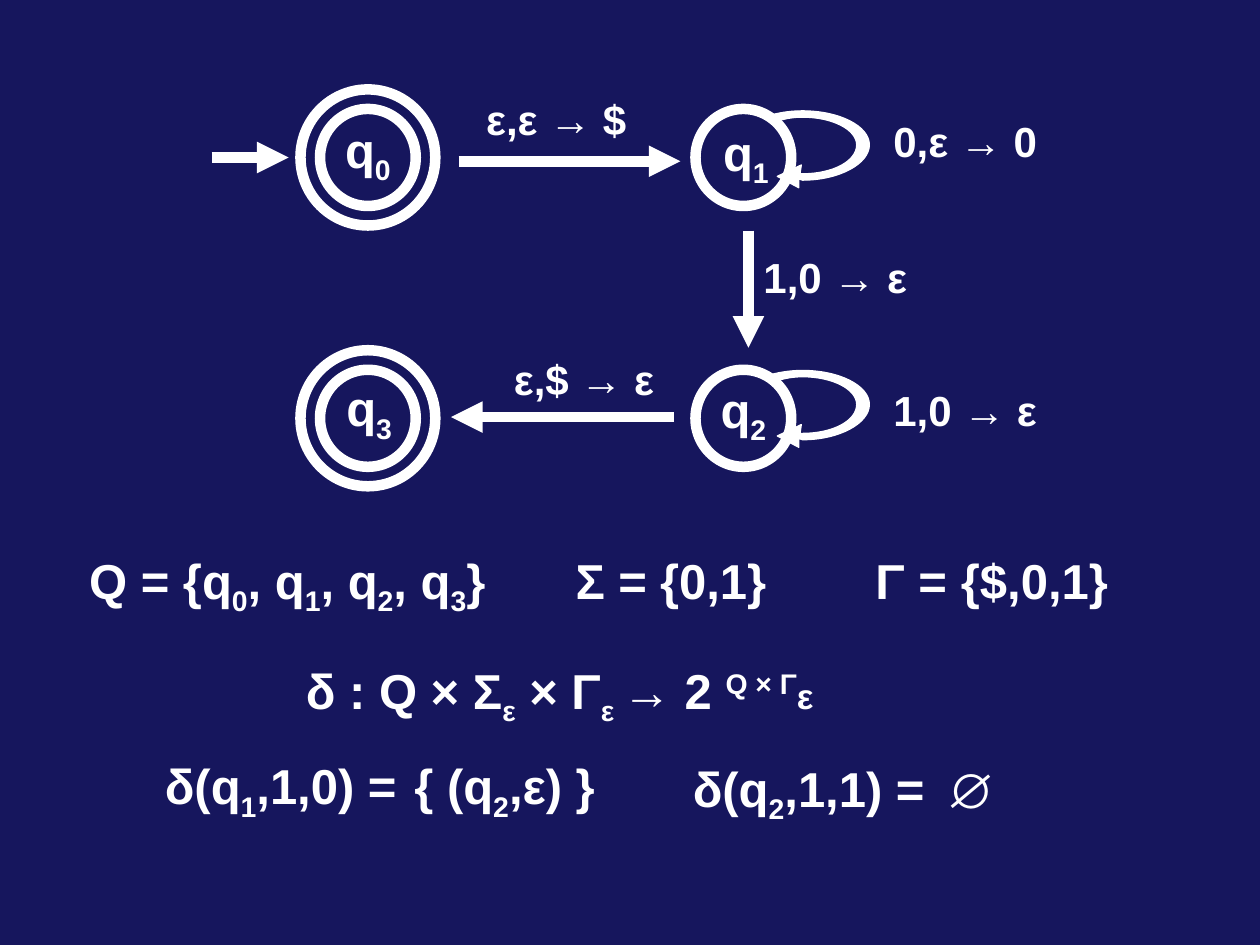
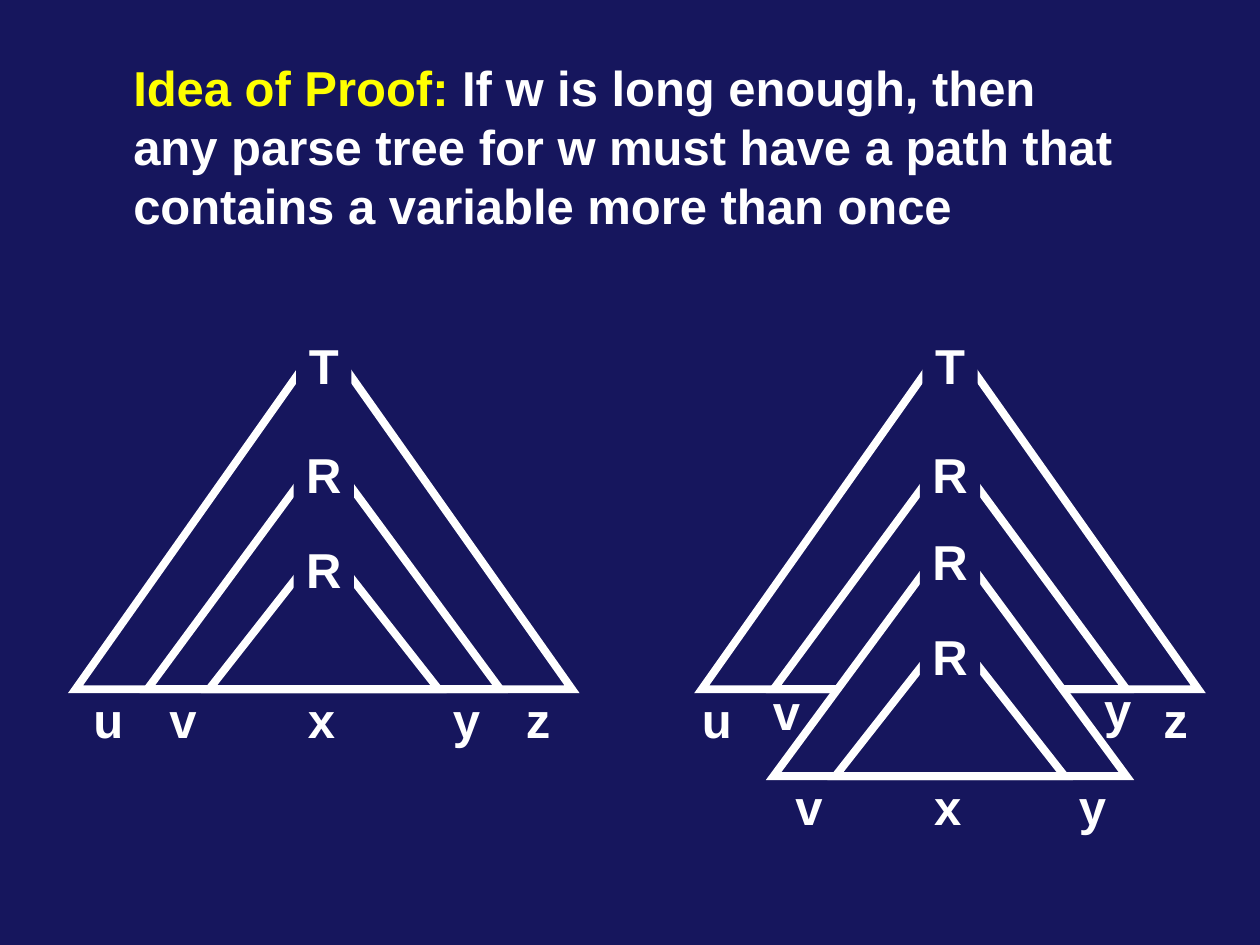
from dataclasses import dataclass

import pptx
import pptx.dml.color
import pptx.enum.shapes
import pptx.enum.text
import pptx.oxml
import pptx.oxml.ns
import pptx.util

Inches = pptx.util.Inches
Shape = pptx.enum.shapes.MSO_SHAPE
Align = pptx.enum.text.PP_ALIGN
LEFT, MID = Align.LEFT, Align.CENTER


@dataclass(frozen=True)
class Theme:
    back: str = "16165D"
    ink: str = "FFFFFF"
    key: str = "FFFF00"
    font: str = "Arial"
    big: float = 28
    mid: float = 24
    small: float = 20
    bold_line: float = 6
    tree_line: float = 4.5
    thin_line: float = 0.75
    sub: int = -25000
    sup: int = 30000


THEME = Theme()


# Shared helpers
def color(code):
    return pptx.dml.color.RGBColor.from_string(code)


def assign(thing, **values):
    for name, value in values.items():
        setattr(thing, name, value)


def inch(*sizes):
    return [Inches(size) for size in sizes]


def node(tag):
    return pptx.oxml.parse_xml(f"<a:{tag} {pptx.oxml.ns.nsdecls('a')}/>")


def subs(text):
    """Split at ~ so that every second part is a subscript."""
    parts = text.split("~")
    return [(part, {"base": THEME.sub} if i % 2 else {})
            for i, part in enumerate(parts) if part]


def write(frame, lines, size=THEME.big, align=LEFT, wrap=False):
    assign(frame, word_wrap=wrap,
           auto_size=pptx.enum.text.MSO_AUTO_SIZE.SHAPE_TO_FIT_TEXT,
           vertical_anchor=pptx.enum.text.MSO_ANCHOR.TOP)
    for i, runs in enumerate(lines):
        para = frame.add_paragraph() if i else frame.paragraphs[0]
        para.alignment = align
        for text, look in runs:
            run = para.add_run()
            run.text = text
            assign(run.font, name=THEME.font, bold=True,
                   size=pptx.util.Pt(look.get("size", size)))
            run.font.color.rgb = color(look.get("ink", THEME.ink))
            if "base" in look:
                run._r.get_or_add_rPr().set("baseline", str(look["base"]))


def label(shapes, x, y, wide, runs, high=0.57, **look):
    box = shapes.add_textbox(*inch(x, y, wide, high))
    write(box.text_frame, [runs], **look)


def stroke(line, width, *marks):
    line.width = pptx.util.Pt(width)
    line.color.rgb = color(THEME.ink)
    for mark in marks:
        line._get_or_add_ln().append(node(mark))


def paint(shape, fill=None):
    shape.shadow.inherit = False
    if fill:
        shape.fill.solid()
        shape.fill.fore_color.rgb = color(fill)
    else:
        shape.fill.background()


def draw(shapes, kind, x, y, wide, high, fill=None, width=None):
    shape = shapes.add_shape(kind, *inch(x, y, wide, high))
    paint(shape, fill)
    if width:
        stroke(shape.line, width, 'miter lim="800000"')
    else:
        shape.line.fill.background()
    return shape


def arrow(shapes, x1, y1, x2, y2):
    line = shapes.add_connector(
        pptx.enum.shapes.MSO_CONNECTOR.STRAIGHT, *inch(x1, y1, x2, y2))
    stroke(line.line, THEME.bold_line, 'tailEnd type="triangle"')
    line._element.spPr.append(node("effectLst"))


# Automaton
def state(shapes, x, y, double):
    home = shapes.add_group_shape().shapes if double else shapes
    for wide in (0.76, 1.07) if double else (0.76,):
        high = wide + 0.01
        draw(home, Shape.OVAL, x - wide / 2, y - high / 2, wide, high,
             width=THEME.bold_line)


# Loop outline about its centre: one point is a line, three are a curve
LOOP = (((-0.02, 0.23),),
        ((-0.01, 0.23), (0, 0.23), (0, 0.23)),
        ((0.24, 0.23), (0.43, 0.13), (0.43, 0)),
        ((0.43, -0.12), (0.24, -0.22), (0, -0.22)),
        ((-0.07, -0.22), (-0.13, -0.21), (-0.2, -0.19)),
        ((-0.24, -0.24),),
        ((-0.16, -0.26), (-0.08, -0.27), (0, -0.27)),
        ((0.29, -0.27), (0.53, -0.15), (0.53, 0)),
        ((0.53, 0.15), (0.29, 0.28), (0, 0.28)),
        ((-0.01, 0.28), (-0.02, 0.27), (-0.03, 0.27)),
        ((-0.03, 0.34),), ((-0.2, 0.25),), ((-0.01, 0.16),))


def loop(shapes, x, y):
    """Curved arrow about the centre of its ellipse."""
    first, *rest = [inch(x + dx, y + dy) for part in LOOP for dx, dy in part]
    pen = shapes.build_freeform(*first)
    pen.add_line_segments(rest, close=True)
    shape = pen.convert_to_shape()
    # Turn each run of three line points into one curve
    steps = iter(shape._element.findall(".//" + pptx.oxml.ns.qn("a:lnTo")))
    for part in LOOP[1:]:
        lines = [next(steps) for _ in part]
        if len(lines) == 3:
            curve = node("cubicBezTo")
            lines[0].addprevious(curve)
            for line in lines:
                curve.append(line[0])
                line.getparent().remove(line)
    paint(shape, THEME.ink)
    stroke(shape.line, THEME.thin_line)


def machine(shapes, left, top):
    # Arrows
    for x1, y1, x2, y2 in ((0, 0.54, 0.61, 0.54), (1.96, 0.57, 3.72, 0.57),
                           (4.26, 1.12, 4.26, 2.05), (3.67, 2.6, 1.9, 2.6)):
        arrow(shapes, left + x1, top + y1, left + x2, top + y2)
    # States: column, row, double ring, and shift of the name
    col, row = (1.24, 4.22), (0.54, 2.61)
    states = (("q~0~", 0, 0, True, 0, -0.35), ("q~1~", 1, 0, False, 0.02, -0.33),
              ("q~2~", 1, 1, False, 0, -0.36), ("q~3~", 0, 1, True, 0.01, -0.37))
    for name, c, r, double, dx, dy in states:
        x, y = left + col[c], top + row[r]
        state(shapes, x, y, double)
        if not double:
            loop(shapes, x + 0.47, y - 0.1 - 0.01 * r)
        label(shapes, x + dx - 0.28, y + dy, 0.56, subs(name), 0.63, align=MID)
    # Moves
    for text, x, y, wide in (("ε,ε → $", 2.08, -0.02, 1.31),
                             ("0,ε → 0", 5.31, 0.16, 1.34),
                             ("1,0 → ε", 4.28, 1.24, 1.34),
                             ("1,0 → ε", 5.31, 2.29, 1.34),
                             ("ε,$ → ε", 2.3, 2.05, 1.31)):
        label(shapes, left + x, top + y, wide, subs(text), 0.5,
              size=THEME.mid, align=MID)


def formal(shapes, left, top):
    """Formal definition under the automaton."""
    rule = subs("δ : Q × Σ~ε~ × Γ~ε ~→ 2 ") + [
        ("Q × Γ", {"base": THEME.sup}), ("ε", {"size": THEME.small})]
    for runs, x, y, wide, align in (
            (subs("Q = {q~0~, q~1~, q~2~, q~3~}"), 0, 0, 3.4, LEFT),
            (subs("Σ ="), 3.86, 0, 0.77, LEFT),
            (subs("{0,1}"), 4.51, 0, 1.08, MID),
            (subs("Γ ="), 6.24, 0, 0.77, LEFT),
            (subs("{$,0,1}"), 6.9, 0, 1.4, MID),
            (rule, 1.72, 0.87, 4.41, LEFT),
            (subs("δ(q~1~,1,0) ="), 0.6, 1.63, 2.11, LEFT),
            (subs("{ (q~2~,ε) }"), 2.56, 1.63, 1.67, MID),
            (subs("δ(q~2~,1,1) ="), 4.79, 1.65, 2.11, LEFT),
            (subs("∅"), 6.8, 1.66, 0.51, MID)):
        label(shapes, left + x, top + y, wide, runs, align=align)


# Parse trees: node name, width, height and rise of the name
ROOT, OUTER, INNER = (("T", 3.94, 2.79, 0.07), ("R", 2.8, 1.9, 0.09),
                      ("R", 1.82, 1.16, 0.08))
CORE = (("v", -1.12, 0), ("x", -0.02, 0), ("y", 1.13, 0))


def tree(shapes, axis, base, nodes, leaves, fill=None):
    """Nested triangles on one base, centred on the axis."""
    for _, wide, high, _ in nodes:
        draw(shapes, Shape.ISOSCELES_TRIANGLE, axis - wide / 2, base - high,
             wide, high, fill, THEME.tree_line)
    for name, _, high, rise in nodes:
        wide = 0.44 if name == "T" else 0.48
        cap = draw(shapes, Shape.RECTANGLE, axis - wide / 2,
                   base - high - rise, wide, 0.57, THEME.back)
        write(cap.text_frame, [subs(name)], align=MID)
    for name, dx, lift in leaves:
        wide = 0.44 if name == "u" else 0.41
        label(shapes, axis + dx - wide / 2, base - 0.05 - lift, wide,
              subs(name), align=MID)


def proof(shapes, left, top):
    box = shapes.add_textbox(*inch(left, top, 8.17, 1.5))
    write(box.text_frame, [
        [("Idea of Proof:", {"ink": THEME.key}),
         (" If w is long enough, then", {})],
        subs("any parse tree for w must have a path that "
             "contains a variable more than once")], wrap=True)


def trees(shapes, left, base):
    axis, gap, drop = left + ROOT[1] / 2, 4.97, 0.69
    # Plain tree
    tree(shapes.add_group_shape().shapes, axis, base, (ROOT, OUTER, INNER),
         (("u", -1.71, 0), *CORE, ("z", 1.7, 0)))
    # Pumped tree
    pumped = shapes.add_group_shape().shapes
    tree(pumped, axis + gap, base, (ROOT, OUTER),
         (("u", -1.85, 0), ("v", -1.3, 0.06), ("y", 1.33, 0.08), ("z", 1.79, 0)))
    tree(pumped, axis + gap, base + drop, (OUTER, INNER), CORE, THEME.back)


def page(deck):
    slide = deck.slides.add_slide(deck.slide_layouts[6])
    slide.background.fill.solid()
    slide.background.fill.fore_color.rgb = color(THEME.back)
    return slide.shapes


def main():
    deck = pptx.Presentation()
    assign(deck, slide_width=Inches(10), slide_height=Inches(7.5))
    shapes = page(deck)
    machine(shapes, 1.68, 0.71)
    formal(shapes, 0.61, 4.32)
    shapes = page(deck)
    proof(shapes, 0.96, 0.41)
    trees(shapes, 0.6, 5.47)
    deck.save("out.pptx")


if __name__ == "__main__":
    main()
